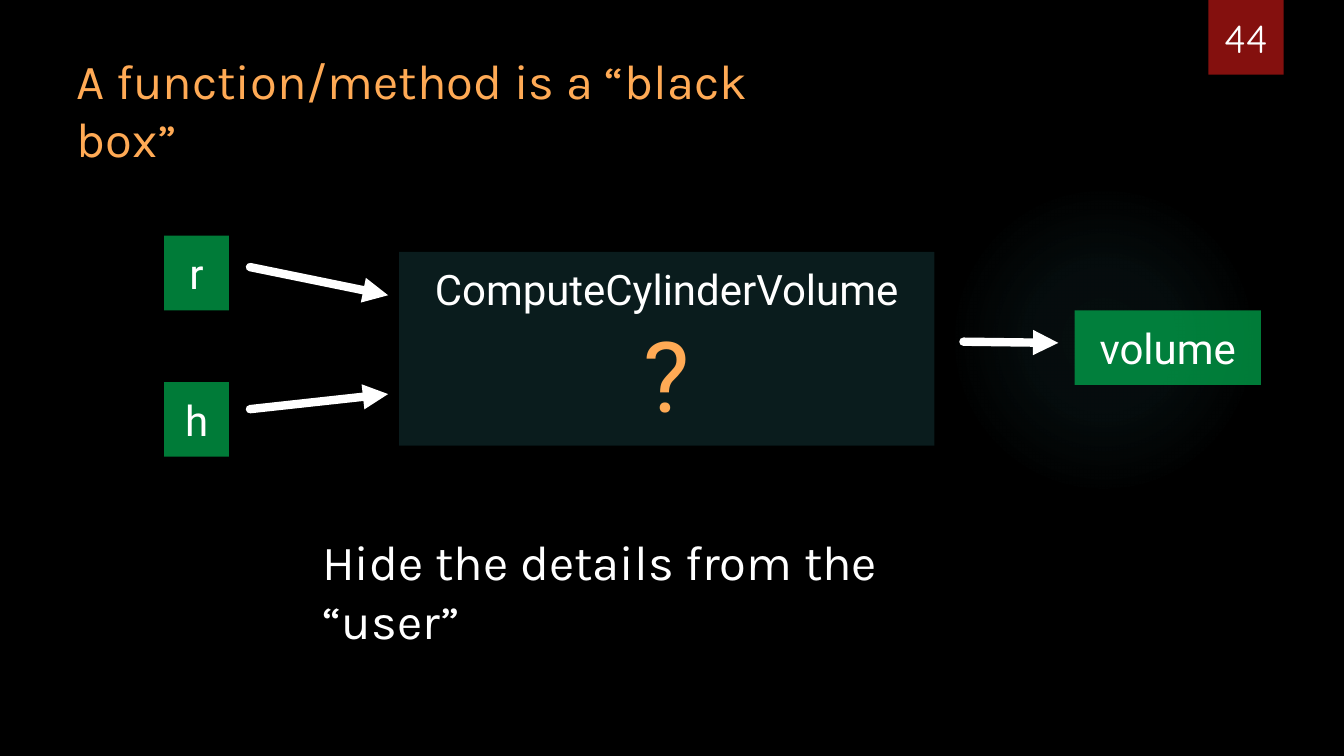
"""Build a slide that shows a function as a black box with inputs and an output."""
from typing import NamedTuple

from lxml.etree import SubElement
from pptx import Presentation
from pptx.dml.color import RGBColor
from pptx.enum.shapes import MSO_CONNECTOR as Connector, MSO_SHAPE as Preset
from pptx.enum.text import MSO_ANCHOR as Anchor, MSO_AUTO_SIZE as AutoSize, PP_ALIGN as Align
from pptx.oxml import parse_xml
from pptx.oxml.ns import nsdecls, qn
from pptx.shapes.autoshape import Shape
from pptx.slide import Slide
from pptx.text.text import TextFrame
from pptx.util import Cm, Pt

BLACK = RGBColor(0x00, 0x00, 0x00)
WHITE = RGBColor(0xFF, 0xFF, 0xFF)
ORANGE = RGBColor(0xFF, 0xAA, 0x55)
RED = RGBColor(0x84, 0x10, 0x0E)
GREEN = RGBColor(0x00, 0xB0, 0x50)
DARK_TEAL = RGBColor(0x0F, 0x28, 0x2A)
GLOW_TEAL = RGBColor(0x50, 0xB9, 0xC1)


class Area(NamedTuple):
    left: float
    top: float
    width: float
    height: float


class Line(NamedTuple):
    text: str
    size: int
    color: RGBColor = WHITE
    font: str = "Roboto"


class Box(NamedTuple):
    area: Area
    fill: RGBColor
    lines: list[Line]


class Caption(NamedTuple):
    area: Area
    line: Line
    align: Align = Align.LEFT
    anchor: Anchor = Anchor.TOP
    auto_size: AutoSize = AutoSize.SHAPE_TO_FIT_TEXT


class Arrow(NamedTuple):
    x1: float
    y1: float
    x2: float
    y2: float


GLOW = Area(23.9, 4.65, 7.82, 7.82)
GLOW_STOPS = [(0, 7), (36, 6), (69, 0)]
BADGE = Area(30.45, 0, 1.9, 1.88)

BOXES = [
    Box(Area(10.06, 6.35, 13.49, 4.88), DARK_TEAL,
        [Line("ComputeCylinderVolume", 30), Line("?", 70, ORANGE)]),
    Box(Area(4.14, 5.94, 1.63, 1.88), GREEN, [Line("r", 30)]),
    Box(Area(4.14, 9.63, 1.63, 1.88), GREEN, [Line("h", 30)]),
    Box(Area(27.08, 7.82, 4.7, 1.88), GREEN, [Line("volume", 30)]),
]
ARROWS = [
    Arrow(6.3, 6.73, 9.78, 7.44),
    Arrow(6.3, 10.31, 9.78, 9.93),
    Arrow(24.28, 8.61, 26.67, 8.64),
]
CAPTIONS = [
    Caption(Area(1.68, 1.14, 19.66, 1.75),
            Line("A function/method is a “black box”", 35, ORANGE, "Karla")),
    Caption(Area(7.87, 13.28, 17.88, 1.75),
            Line("Hide the details from the “user”", 35, WHITE, "Karla")),
    Caption(Area(30.23, 0, 2.34, 1.68), Line("44", 28, WHITE, "Quicksand"),
            Align.CENTER, Anchor.BOTTOM, AutoSize.NONE),
]


def write_lines(frame: TextFrame, lines: list[Line], align: Align) -> None:
    """Write each line as one paragraph."""
    for index, line in enumerate(lines):
        paragraph = frame.add_paragraph() if index else frame.paragraphs[0]
        paragraph.text = line.text
        paragraph.alignment = align
        paragraph.font.name = line.font
        paragraph.font.size = Pt(line.size)
        paragraph.font.color.rgb = line.color


def add_plain_shape(slide: Slide, preset: Preset, area: Area, fill: RGBColor) -> Shape:
    """Add a filled shape with no outline and no shadow."""
    shape = slide.shapes.add_shape(preset, *map(Cm, area))
    shape.shadow.inherit = False
    shape.fill.solid()
    shape.fill.fore_color.rgb = fill
    shape.line.fill.background()
    return shape


def add_glow(slide: Slide) -> None:
    """Add the faint circle that fades outwards."""
    glow = add_plain_shape(slide, Preset.OVAL, GLOW, GLOW_TEAL)
    stops = "".join(
        f'<a:gs pos="{position * 1000}"><a:srgbClr val="{GLOW_TEAL}">'
        f'<a:alpha val="{alpha * 1000}"/></a:srgbClr></a:gs>'
        for position, alpha in GLOW_STOPS
    )
    gradient = parse_xml(
        f'<a:gradFill {nsdecls("a")}><a:gsLst>{stops}</a:gsLst><a:path path="circle">'
        '<a:fillToRect l="50000" t="50000" r="50000" b="50000"/></a:path></a:gradFill>'
    )
    properties = glow.element.spPr
    properties.replace(properties.find(qn("a:solidFill")), gradient)


def add_box(slide: Slide, box: Box) -> None:
    """Add a translucent box with centred text."""
    shape = add_plain_shape(slide, Preset.RECTANGLE, box.area, box.fill)
    color = shape.element.spPr.find(qn("a:solidFill")).find(qn("a:srgbClr"))
    SubElement(color, qn("a:alpha"), val="70000")
    frame = shape.text_frame
    frame.margin_left = frame.margin_right = Cm(0.5)
    frame.margin_top = frame.margin_bottom = Cm(0.3)
    frame.vertical_anchor = Anchor.TOP
    frame.word_wrap = False
    write_lines(frame, box.lines, Align.CENTER)


def add_arrow(slide: Slide, arrow: Arrow) -> None:
    """Add a thick arrow with a round start and a triangular head."""
    connector = slide.shapes.add_connector(Connector.STRAIGHT, *map(Cm, arrow))
    connector.line.color.rgb = WHITE
    connector.line.width = Pt(6)
    outline = connector.line._get_or_add_ln()
    outline.set("cap", "rnd")
    SubElement(outline, qn("a:tailEnd"), type="triangle")
    SubElement(connector.element.spPr, qn("a:effectLst"))


def add_caption(slide: Slide, caption: Caption) -> None:
    """Add a wrapped text box."""
    frame = slide.shapes.add_textbox(*map(Cm, caption.area)).text_frame
    frame.word_wrap = True
    frame.auto_size = caption.auto_size
    frame.vertical_anchor = caption.anchor
    write_lines(frame, [caption.line], caption.align)


def main() -> None:
    """Build and save the presentation."""
    presentation = Presentation()
    presentation.slide_width = Cm(33.87)
    presentation.slide_height = Cm(19.05)
    slide = presentation.slides.add_slide(presentation.slide_layouts[6])
    slide.background.fill.solid()
    slide.background.fill.fore_color.rgb = BLACK

    add_glow(slide)
    add_plain_shape(slide, Preset.RECTANGLE, BADGE, RED)
    for box in BOXES:
        add_box(slide, box)
    for arrow in ARROWS:
        add_arrow(slide, arrow)
    for caption in CAPTIONS:
        add_caption(slide, caption)
    presentation.save("out.pptx")


if __name__ == "__main__":
    main()
